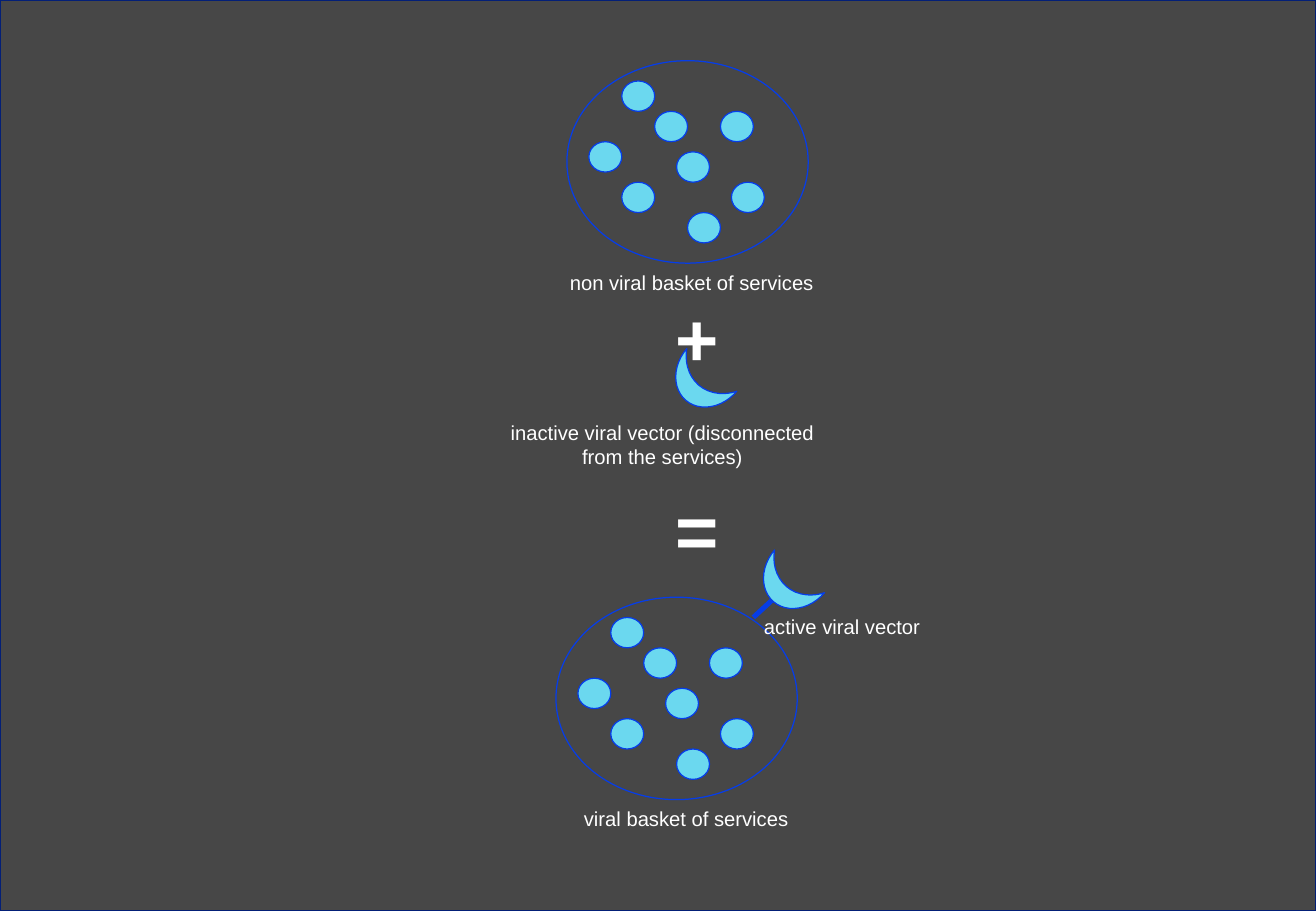
from typing import NamedTuple

import pptx
import pptx.dml.color
import pptx.enum.shapes
import pptx.enum.text
import pptx.oxml
import pptx.oxml.ns
import pptx.util

RGBColor = pptx.dml.color.RGBColor
MSO = pptx.enum.shapes.MSO_SHAPE
ALIGN = pptx.enum.text.PP_ALIGN

GREY = RGBColor(0x47, 0x47, 0x47)
NAVY = RGBColor(0x03, 0x1F, 0x77)
BLUE = RGBColor(0x06, 0x3D, 0xE8)
CYAN = RGBColor(0x6B, 0xD8, 0xEF)
WHITE = RGBColor(0xFF, 0xFF, 0xFF)

WIDTH, HEIGHT = pptx.util.Inches(10.84), pptx.util.Inches(7.5)
COLUMNS, ROWS = 120, 90


class Box(NamedTuple):
    """A rectangle in grid columns and rows."""
    col: float
    row: float
    cols: float
    rows: float


class Label(NamedTuple):
    text: str
    box: Box
    align: ALIGN = ALIGN.RIGHT
    size: int = 12
    bold: bool = False


# Column and row of each service, counted from its basket's corner
SERVICES = [(5, 2), (8, 5), (14, 5), (15, 12), (11, 15), (5, 12), (2, 8), (10, 9)]
BASKETS = [(50.7, 59), (51.7, 6)]
VECTORS = [(69.9, 54.7), (61.9, 34.8)]
LABELS = [
    Label("viral basket of services", Box(52, 79.1, 21, 3.6)),
    Label("active viral vector", Box(68, 60.1, 17, 3.6)),
    Label("inactive viral vector (disconnected from the services)",
          Box(46.3, 40.9, 29.3, 6), ALIGN.CENTER),
    Label("non viral basket of services", Box(51.3, 26.1, 24, 3.6)),
    Label("+", Box(58.6, 28.3, 8, 10), size=44, bold=True),
    Label("=", Box(58.6, 47.3, 8, 10), size=44, bold=True),
]


def x(col: float) -> int:
    return round(WIDTH * col / COLUMNS)


def y(row: float) -> int:
    return round(HEIGHT * row / ROWS)


def place(box: Box) -> tuple[int, int, int, int]:
    return x(box.col), y(box.row), x(box.cols), y(box.rows)


def add_shape(shapes, kind: MSO, box: Box, fill: RGBColor | None = CYAN,
              line: RGBColor = BLUE, weight: float = 0.75):
    sp = shapes.add_shape(kind, *place(box))
    sp.shadow.inherit = False
    if fill is None:
        sp.fill.background()
    else:
        sp.fill.solid()
        sp.fill.fore_color.rgb = fill
    sp.line.color.rgb = line
    sp.line.width = pptx.util.Pt(weight)
    return sp


def add_basket(shapes, col: float, row: float) -> None:
    group = shapes.add_group_shape()
    add_shape(group.shapes, MSO.OVAL, Box(col, row, 22, 20), fill=None)
    for dx, dy in SERVICES:
        add_shape(group.shapes, MSO.OVAL, Box(col + dx, row + dy, 3, 3))


def add_stem(shapes) -> None:
    """Join the active vector to the viral basket."""
    cx = shapes.add_connector(pptx.enum.shapes.MSO_CONNECTOR.STRAIGHT,
                              x(70.7), y(59), x(68.7), y(61))
    cx.line.color.rgb = BLUE
    cx.line.width = pptx.util.Pt(3)
    cx._element.spPr.append(pptx.oxml.parse_xml(
        f"<a:effectLst {pptx.oxml.ns.nsdecls('a')}/>"))


def add_label(shapes, label: Label) -> None:
    tf = shapes.add_textbox(*place(label.box)).text_frame
    tf.word_wrap = True
    tf.margin_left = 0
    p = tf.paragraphs[0]
    p.alignment = label.align
    r = p.add_run()
    r.text = label.text
    font = {"name": "Arial", "size": pptx.util.Pt(label.size), "bold": label.bold}
    for name, value in font.items():
        setattr(r.font, name, value)
    r.font.color.rgb = WHITE


def main() -> None:
    prs = pptx.Presentation()
    prs.slide_width, prs.slide_height = WIDTH, HEIGHT
    shapes = prs.slides.add_slide(prs.slide_layouts[6]).shapes

    add_shape(shapes, MSO.RECTANGLE, Box(0, 0, COLUMNS, ROWS), GREY, NAVY, 1)
    for col, row in BASKETS:
        add_basket(shapes, col, row)
    add_stem(shapes)
    for col, row in VECTORS:
        add_shape(shapes, MSO.MOON, Box(col, row, 3.65, 6.5)).rotation = 310.5
    for label in LABELS:
        add_label(shapes, label)

    prs.save("out.pptx")


if __name__ == "__main__":
    main()
